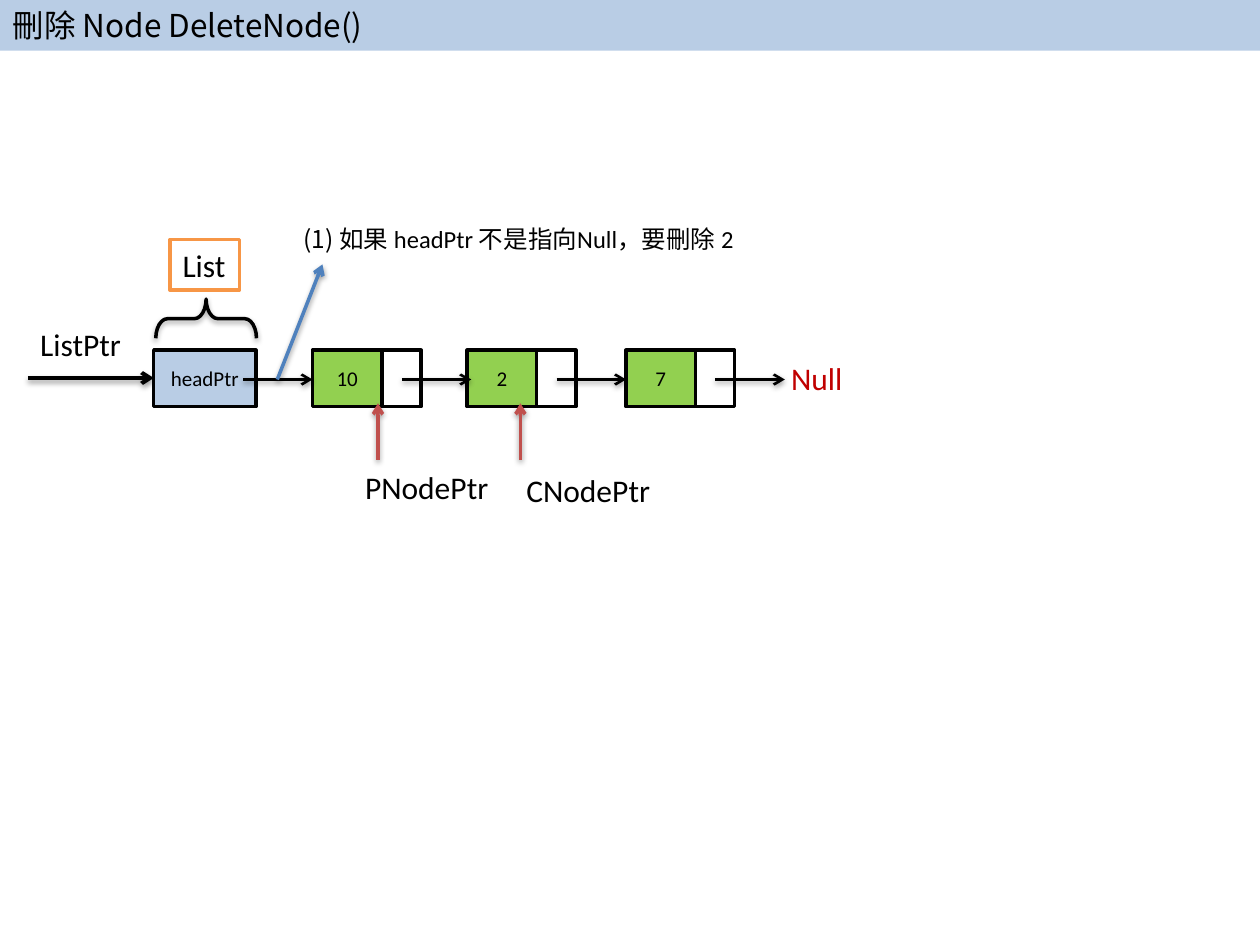
"""Build a slide showing a linked list before one of its nodes is deleted."""
from lxml.etree import SubElement
from pptx import Presentation
from pptx.dml.color import RGBColor
from pptx.enum.shapes import MSO_CONNECTOR, MSO_SHAPE
from pptx.enum.text import MSO_ANCHOR, MSO_AUTO_SIZE, PP_ALIGN
from pptx.oxml.ns import qn
from pptx.util import Cm, Pt

COLORS = {
    "ink": "000000", "paper": "FFFFFF", "head": "B9CDE5", "value": "92D050",
    "list": "F79646", "null": "C00000", "note": "4F81BD", "pointer": "C0504D",
}
LATIN, CJK = "Calibri", "Noto Sans CJK SC"
LABEL = {"word_wrap": True, "vertical_anchor": MSO_ANCHOR.TOP, "auto_size": MSO_AUTO_SIZE.NONE}
CELL = {**LABEL, "vertical_anchor": MSO_ANCHOR.MIDDLE}
TAG = {**LABEL, "word_wrap": False}


class ListDiagram:
    def __init__(self, slide):
        self.slide = slide
        self.shapes = slide.shapes

    def color(self, name):
        return RGBColor.from_string(COLORS[name])

    def letter(self, holder, runs, size, color="ink", align=PP_ALIGN.LEFT, frame=LABEL):
        for attribute, value in frame.items():
            setattr(holder.text_frame, attribute, value)
        paragraph = holder.text_frame.paragraphs[0]
        paragraph.alignment = align
        for wording, typeface in runs:
            run = paragraph.add_run()
            run.text = wording
            for attribute, value in {"size": Pt(size), "name": typeface}.items():
                setattr(run.font, attribute, value)
            run.font.color.rgb = self.color(color)
            SubElement(run._r.get_or_add_rPr(), qn("a:ea"), typeface=CJK)

    def title(self, wording):
        banner = self.shapes.title
        bounds = {"left": 0, "top": 0, "width": Cm(25.4), "height": Cm(1.02)}
        for attribute, value in bounds.items():
            setattr(banner, attribute, value)
        banner.fill.solid()
        banner.fill.fore_color.rgb = self.color("head")
        self.letter(banner, [(wording, CJK)], 18)

    def label(self, runs, left, top, width, height=1.02, size=18, color="ink"):
        caption = self.shapes.add_textbox(Cm(left), Cm(top), Cm(width), Cm(height))
        self.letter(caption, runs, size, color)

    def box(self, left, top, width, height, fill, line="ink"):
        cell = self.shapes.add_shape(
            MSO_SHAPE.RECTANGLE, Cm(left), Cm(top), Cm(width), Cm(height))
        cell.shadow.inherit = False
        cell.fill.solid()
        cell.fill.fore_color.rgb = self.color(fill)
        cell.line.color.rgb = self.color(line)
        cell.line.width = Pt(2)
        return cell

    def cell(self, wording, left, width, fill):
        cell = self.box(left, 7.06, width, 1.14, fill)
        self.letter(cell, [(wording, LATIN)], 12, align=PP_ALIGN.CENTER, frame=CELL)

    def arrow(self, start, end, color="ink", weight=1.5):
        link = self.shapes.add_connector(
            MSO_CONNECTOR.STRAIGHT, *(Cm(value) for value in (*start, *end)))
        link.line.color.rgb = self.color(color)
        link.line.width = Pt(weight)
        SubElement(link.element.spPr.find(qn("a:ln")), qn("a:tailEnd"), type="arrow")

    def node(self, wording, left):
        self.cell(wording, left, 1.4, "value")
        self.box(left + 1.4, 7.06, 0.79, 1.14, "paper")

    def brace(self, left, top, width, height):
        span = self.shapes.add_shape(
            MSO_SHAPE.LEFT_BRACE, Cm(left), Cm(top), Cm(width), Cm(height))
        span.rotation = 90
        span.adjustments[0] = 0.3
        span.adjustments[1] = 0.5
        span.fill.background()
        span.line.color.rgb = self.color("ink")
        span.line.width = Pt(2)


def main():
    deck = Presentation()
    deck.slide_width, deck.slide_height = Cm(25.4), Cm(19.05)
    diagram = ListDiagram(deck.slides.add_slide(deck.slide_layouts[5]))
    diagram.title("刪除 Node DeleteNode()")

    diagram.arrow((0.56, 7.62), (3.1, 7.62), weight=2.25)
    diagram.label([("ListPtr", LATIN)], 0.56, 6.43, 2.18)
    diagram.cell("headPtr", 3.1, 2.06, "head")
    diagram.brace(3.76, 5.41, 0.79, 2.03)
    list_tag = diagram.box(3.43, 4.83, 1.4, 1.02, "paper", "list")
    diagram.letter(list_tag, [("List", LATIN)], 18, frame=TAG)

    nodes = {"10": 6.3, "2": 9.42, "7": 12.62}
    for value, left in nodes.items():
        diagram.node(value, left)
    for start in (4.9, *(left + 1.8 for left in nodes.values())):
        diagram.arrow((start, 7.65), (start + 1.4, 7.65))
    diagram.label([("Null", LATIN)], 15.7, 7.11, 1.6, color="null")

    diagram.label(
        [("(1) 如果 ", CJK), ("headPtr 不是指向Null，要刪除 2", LATIN)],
        5.87, 4.39, 10.24, 0.86, size=14)
    diagram.arrow((5.59, 7.65), (6.5, 5.33), "note", 2)

    pointers = [("PNodePtr", 7.62, 7.11, 9.32), ("CNodePtr", 10.49, 10.36, 9.37)]
    for pointer, tip, left, top in pointers:
        diagram.arrow((tip, 9.27), (tip, 8.13), "pointer", 2)
        diagram.label([(pointer, LATIN)], left, top, 3.15)
    deck.save("out.pptx")


if __name__ == "__main__":
    main()
